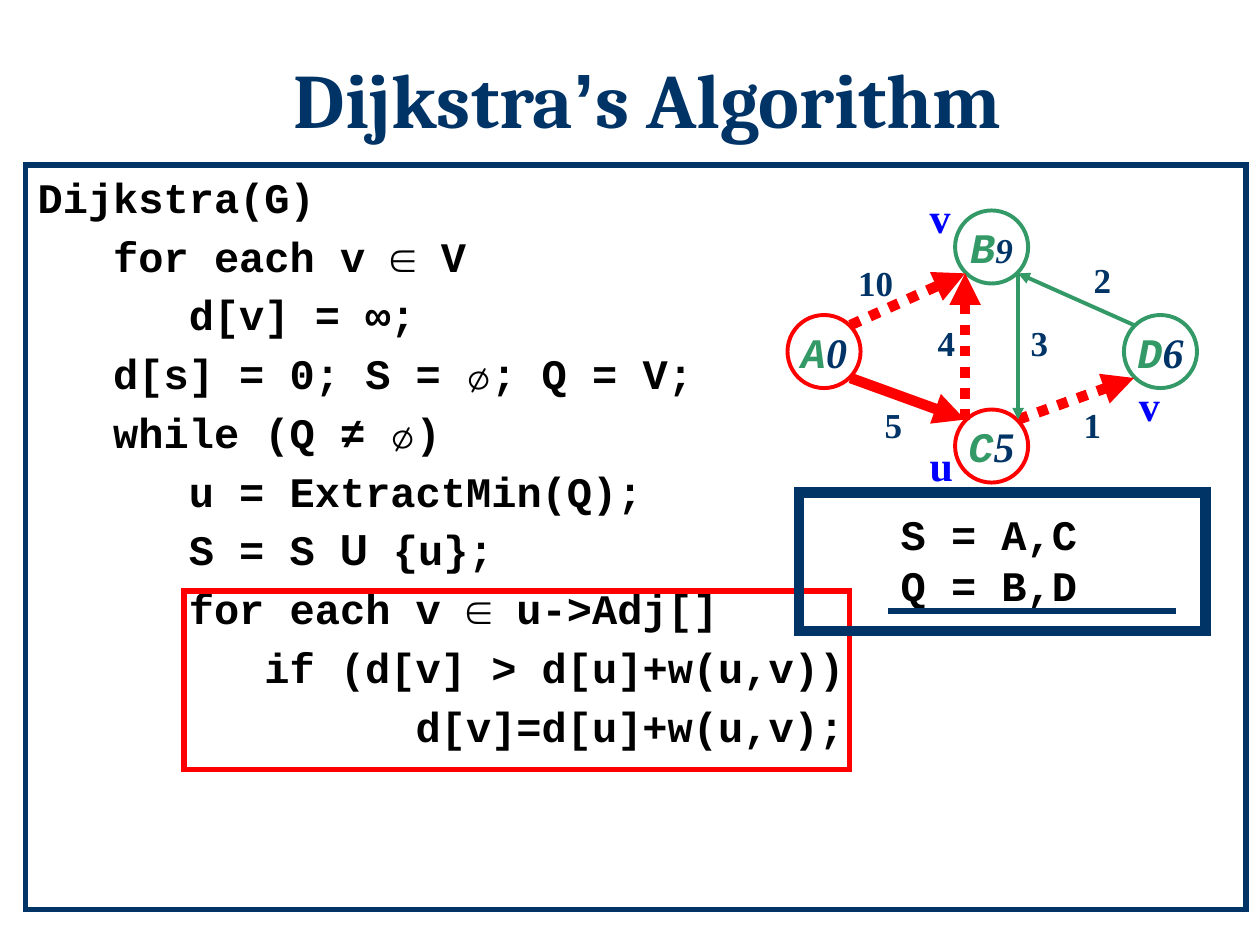
from lxml import etree
from pptx import Presentation
from pptx.dml.color import RGBColor
from pptx.enum.dml import MSO_LINE
from pptx.enum.shapes import MSO_CONNECTOR, MSO_SHAPE
from pptx.enum.text import MSO_ANCHOR, PP_ALIGN
from pptx.oxml.ns import qn
from pptx.util import Inches, Pt

RECT, OVAL = MSO_SHAPE.RECTANGLE, MSO_SHAPE.OVAL
LEFT, CENTER = PP_ALIGN.LEFT, PP_ALIGN.CENTER
TOP, MIDDLE = MSO_ANCHOR.TOP, MSO_ANCHOR.MIDDLE
DOTTED = MSO_LINE.ROUND_DOT  # written as sysDot

NAVY = RGBColor(0x00, 0x33, 0x66)
GREEN = RGBColor(0x33, 0x99, 0x66)
RED = RGBColor(0xFF, 0x00, 0x00)
BLUE = RGBColor(0x00, 0x00, 0xFF)
BLACK = RGBColor(0x00, 0x00, 0x00)
WHITE = RGBColor(0xFF, 0xFF, 0xFF)
CODE, SERIF, TITLE = "Courier New", "Times New Roman", "Cambria"

TITLE_RUNS = [("Dijkstra", TITLE), ("’", "Arial"), ("s Algorithm", TITLE)]

# indent in characters, then runs of (text, font)
PSEUDOCODE = [
    (0, [("Dijkstra(G)", CODE)]),
    (3, [("for each v ∈ V", CODE)]),
    (6, [("d[v] = ∞;", CODE)]),
    (3, [("d[s] = 0; S = ∅; Q = V;", CODE)]),
    (3, [("while (Q ≠ ∅)", CODE)]),
    (6, [("u = ExtractMin(Q);", CODE)]),
    (6, [("S = S ", CODE), ("U", "Roboto"), (" {u};", CODE)]),
    (6, [("for each v ∈ u->Adj[]", CODE)]),
    (9, [("if (d[v] > d[u]+w(u,v))", CODE)]),
    (15, [("d[v]=d[u]+w(u,v);", CODE)]),
]
CHAR_WIDTH = 0.2
CODE_SIZE = 24
CODE_GAP = 0.2 * CODE_SIZE

# name: (centre x, centre y, distance, distance size, outline)
NODES = {
    "B": (7.87, 1.96, "9", 20, GREEN),
    "C": (7.87, 3.54, "5", 24, RED),
    "D": (9.21, 2.79, "6", 24, GREEN),
    "A": (6.54, 2.79, "0", 24, RED),
}
NODE_SIZE = 0.58
CORNER = 0.21  # offset from a node's centre to its diagonal points

# from, corner, to, corner, colour, width, dash
EDGES = [
    ("A", (1, -1), "B", (-1, 1), RED, 6, DOTTED),
    ("A", (1, 1), "C", (-1, -1), RED, 6, None),
    ("C", (1, -1), "D", (-1, 1), RED, 6, DOTTED),
    ("D", (-1, -1), "B", (1, 1), GREEN, 2.25, None),
    ("C", (-1, -1), "B", (-1, 1), RED, 6, DOTTED),
    ("B", (1, 1), "C", (1, -1), GREEN, 2.25, None),
]

# text, left, top, width
WEIGHTS = [("10", 6.71, 2.03, 0.48), ("4", 7.34, 2.5, 0.34),
           ("3", 8.08, 2.5, 0.34), ("2", 8.58, 2, 0.34),
           ("1", 8.5, 3.15, 0.34), ("5", 6.92, 3.15, 0.34)]
VERTEX_MARKS = [("u", 7.28, 3.44, 0.39), ("v", 7.28, 1.47, 0.37),
                ("v", 8.94, 2.96, 0.37)]
SETS = ["S = A,C", "Q = B,D"]


def add_run(paragraph, text, font, size, color, italic=False):
    run = paragraph.add_run()
    run.text = text
    run.font.name, run.font.size = font, Pt(size)
    run.font.color.rgb = color
    run.font.bold, run.font.italic = True, italic


def add_outline(slide, kind, box, color, width, fill=None):
    """Add a shape with a square-cornered outline, hollow unless filled."""
    shape = slide.shapes.add_shape(kind, *map(Inches, box))
    shape.shadow.inherit = False
    if fill is None:
        shape.fill.background()
    else:
        shape.fill.solid()
        shape.fill.fore_color.rgb = fill
    shape.line.color.rgb, shape.line.width = color, Pt(width)
    etree.SubElement(shape.line._get_or_add_ln(), qn("a:miter"), lim="800000")
    return shape


def add_line(slide, start, end, color, width, dash=None, arrow=False):
    line = slide.shapes.add_connector(
        MSO_CONNECTOR.STRAIGHT, *map(Inches, (*start, *end)))
    line.line.color.rgb, line.line.width = color, Pt(width)
    if dash is not None:
        line.line.dash_style = dash
    if arrow:
        etree.SubElement(line.line._get_or_add_ln(), qn("a:tailEnd"), type="triangle")
    etree.SubElement(line._element.spPr, qn("a:effectLst"))


def add_label(slide, lines, box, font, size, color, align=LEFT):
    frame = slide.shapes.add_textbox(*map(Inches, box)).text_frame
    frame.word_wrap = False
    for i, text in enumerate(lines):
        paragraph = frame.add_paragraph() if i else frame.paragraphs[0]
        paragraph.alignment = align
        add_run(paragraph, text, font, size, color)


def add_title(slide):
    title = slide.shapes.title
    title.left, title.top, title.width, title.height = map(
        Inches, (1.14, 0.44, 8, 0.92))
    title.text_frame.vertical_anchor = TOP
    paragraph = title.text_frame.paragraphs[0]
    paragraph.alignment, paragraph.line_spacing = CENTER, 0.9
    for text, font in TITLE_RUNS:
        add_run(paragraph, text, font, 44, NAVY)


def add_pseudocode(slide):
    panel = add_outline(slide, RECT, (0.2, 1.31, 9.69, 5.91), NAVY, 3, WHITE)
    frame = panel.text_frame
    frame.word_wrap, frame.vertical_anchor = True, TOP
    for i, (indent, runs) in enumerate(PSEUDOCODE):
        paragraph = frame.add_paragraph() if i else frame.paragraphs[0]
        paragraph.alignment, paragraph.space_before = LEFT, Pt(CODE_GAP)
        properties = paragraph._p.get_or_add_pPr()
        properties.set("marL", str(Inches(indent * CHAR_WIDTH)))
        for text, font in runs:
            add_run(paragraph, text, font, CODE_SIZE, BLACK)


def node_corner(name, signs):
    x, y = NODES[name][:2]
    return x + signs[0] * CORNER, y + signs[1] * CORNER


def add_graph(slide):
    for name, (x, y, distance, size, color) in NODES.items():
        box = (x - NODE_SIZE / 2, y - NODE_SIZE / 2, NODE_SIZE, NODE_SIZE)
        frame = add_outline(slide, OVAL, box, color, 2.25, WHITE).text_frame
        frame.word_wrap, frame.vertical_anchor = False, MIDDLE
        paragraph = frame.paragraphs[0]
        paragraph.alignment = CENTER
        add_run(paragraph, name, CODE, 24, GREEN, italic=True)
        add_run(paragraph, distance, SERIF, size, NAVY, italic=True)
    for source, out, target, into, color, width, dash in EDGES:
        add_line(slide, node_corner(source, out), node_corner(target, into),
                 color, width, dash, arrow=True)
    for text, left, top, width in WEIGHTS:
        add_label(slide, [text], (left, top, width, 0.43), SERIF, 20, NAVY, CENTER)


def main():
    deck = Presentation()
    deck.slide_width, deck.slide_height = Inches(10), Inches(7.5)
    slide = deck.slides.add_slide(deck.slide_layouts[5])
    add_title(slide)
    add_pseudocode(slide)
    add_graph(slide)
    add_outline(slide, RECT, (1.46, 4.69, 5.28, 1.42), RED, 3)
    add_label(slide, SETS, (7.05, 3.99, 1.6, 0.9), CODE, 24, BLACK)
    add_line(slide, (7.05, 4.85), (9.33, 4.85), NAVY, 3)
    for text, left, top, width in VERTEX_MARKS:
        add_label(slide, [text], (left, top, width, 0.5), SERIF, 24, BLUE)
    add_outline(slide, RECT, (6.34, 3.91, 3.23, 1.1), NAVY, 6)
    deck.save("out.pptx")


if __name__ == "__main__":
    main()
